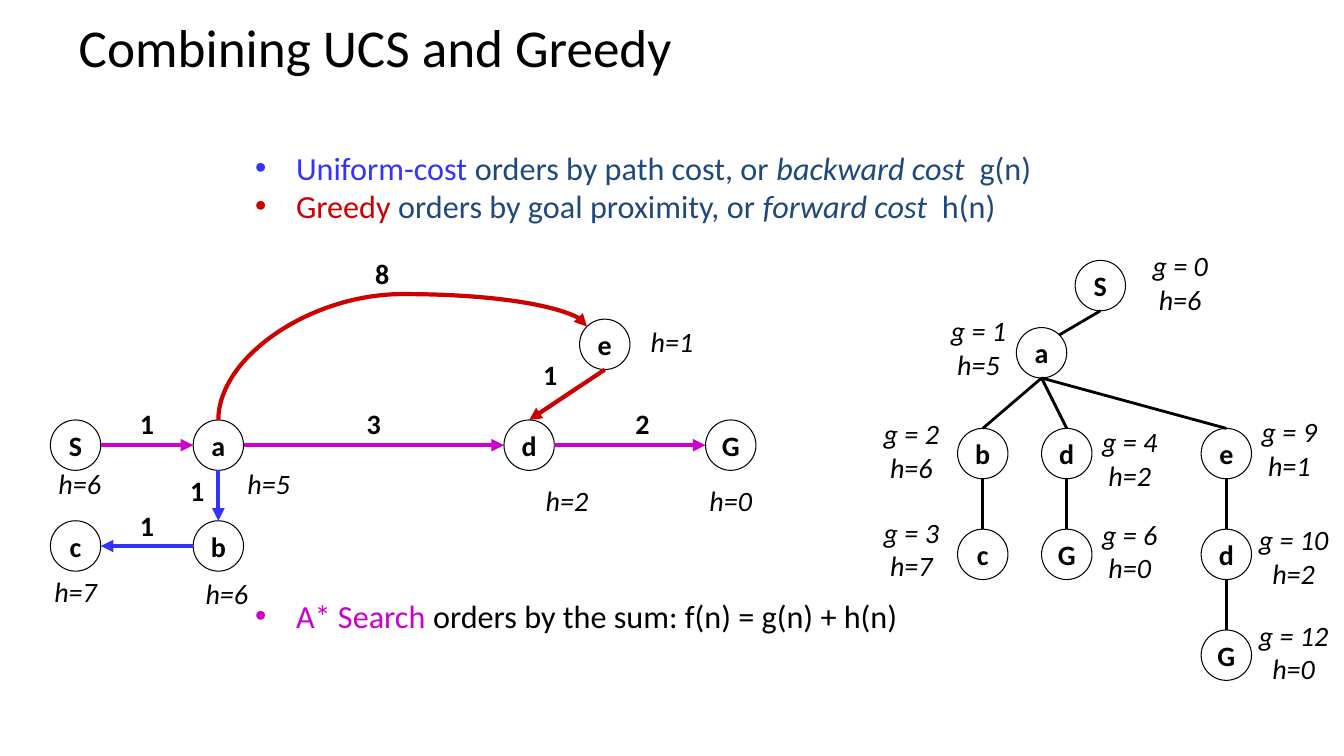
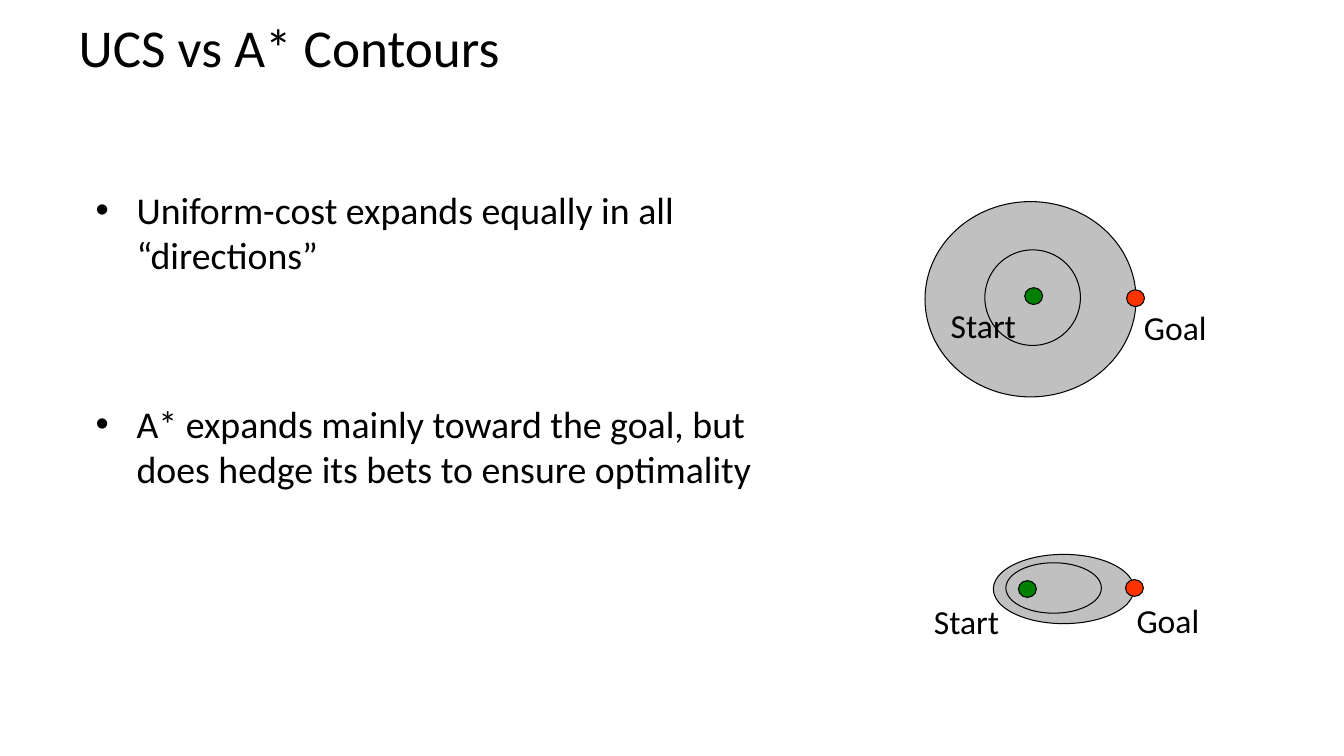
from math import cos, pi, sin

from lxml.etree import SubElement
from pptx import Presentation
from pptx.dml.color import RGBColor
from pptx.enum.shapes import MSO_CONNECTOR, MSO_SHAPE
from pptx.enum.text import MSO_ANCHOR, PP_ALIGN
from pptx.oxml.ns import qn
from pptx.util import Emu, Pt

FONT = "Calibri"
COLORS = {
    "black": "000000", "white": "FFFFFF", "navy": "1F497D", "blue": "3333FF",
    "red": "CC0000", "purple": "CC00CC", "gray": "C0C0C0", "start": "008000",
    "goal": "FF3300",
}
NODE = 48
# Connection sites of an ellipse, counter-clockwise in steps of 45 degrees
TOP, TOP_LEFT, LEFT, BOTTOM, RIGHT, TOP_RIGHT = 0, 1, 2, 4, 6, 7


def px(n):
    return Emu(round(n * 9525))


def rgb(name):
    return RGBColor.from_string(COLORS[name])


def add_run(p, text, color="black", **fmt):
    r = p.add_run()
    r.text = text
    r.font.color.rgb = rgb(color)
    for key, value in {"name": FONT, **fmt}.items():
        setattr(r.font, key, value)


def add_box(slide, x, y, w, h, **fmt):
    tf = slide.shapes.add_textbox(px(x), px(y), px(w), px(h)).text_frame
    for key, value in {"word_wrap": True, **fmt}.items():
        setattr(tf, key, value)
    return tf


def add_label(slide, x, y, w, h, text, align=PP_ALIGN.CENTER, **fmt):
    p = add_box(slide, x, y, w, h).paragraphs[0]
    p.alignment = align
    add_run(p, text, **fmt)


def add_title(slide, text):
    tf = add_box(slide, 64, 2, 1152, 84, vertical_anchor=MSO_ANCHOR.MIDDLE,
                 margin_left=px(11), margin_right=px(11))
    add_run(tf.paragraphs[0], text, size=Pt(38))


def add_bullets(slide, box, size, items, line_spacing=1.0):
    """Each item is its space before in points and a list of (text, format)."""
    tf = add_box(slide, *box, margin_left=px(11), margin_right=px(11))
    for i, (gap, runs) in enumerate(items):
        p = tf.add_paragraph() if i else tf.paragraphs[0]
        pPr = p._p.get_or_add_pPr()
        pPr.set("marL", str(px(39)))
        pPr.set("indent", str(px(-39)))
        SubElement(pPr, qn("a:buFont"), typeface="Arial")
        SubElement(pPr, qn("a:buChar"), char="•")
        p.line_spacing = line_spacing
        p.space_before = Pt(gap)
        for text, fmt in runs:
            add_run(p, text, size=Pt(size), **fmt)


def add_ellipse(slide, x, y, w, h, fill=None):
    sp = slide.shapes.add_shape(MSO_SHAPE.OVAL, px(x), px(y), px(w), px(h))
    sp.shadow.inherit = False
    if fill:
        sp.fill.solid()
        sp.fill.fore_color.rgb = rgb(fill)
    else:
        sp.fill.background()
    sp.line.color.rgb = rgb("black")
    sp.line.width = Pt(0.75)
    return sp


def add_node(slide, x, y, name):
    sp = add_ellipse(slide, x, y, NODE, NODE, "white")
    tf = sp.text_frame
    tf.word_wrap = False
    tf.vertical_anchor = MSO_ANCHOR.MIDDLE
    p = tf.paragraphs[0]
    p.alignment = PP_ALIGN.CENTER
    add_run(p, name, size=Pt(20), bold=True)
    return sp


def site_point(sp, site):
    angle = site * pi / 4
    return (Emu(round(sp.left + sp.width / 2 * (1 - sin(angle)))),
            Emu(round(sp.top + sp.height / 2 * (1 - cos(angle)))))


def style_line(c, color, width, arrow):
    c.line.color.rgb = rgb(color)
    c.line.width = Pt(width)
    if arrow:
        SubElement(c.line._get_or_add_ln(), qn("a:tailEnd"), type="triangle")
    SubElement(c._element.spPr, qn("a:effectLst"))


def add_edge(slide, a, a_site, b, b_site, color="black", width=2, arrow=False):
    """Straight line glued to a connection site of each node."""
    c = slide.shapes.add_connector(MSO_CONNECTOR.STRAIGHT, 0, 0, 0, 0)
    c.begin_connect(a, 0)
    c.end_connect(b, 0)
    c.begin_x, c.begin_y = site_point(a, a_site)
    c.end_x, c.end_y = site_point(b, b_site)
    joins = c._element.nvCxnSpPr.cNvCxnSpPr
    joins.stCxn.set("idx", str(a_site))
    joins.endCxn.set("idx", str(b_site))
    style_line(c, color, width, arrow)


def add_arc(slide, a, b, color):
    """Curved arrow from the top of a, up and over to the top left of b."""
    (x1, y1), (x2, y2) = site_point(a, TOP), site_point(b, TOP_LEFT)
    mid_x, mid_y = (x1 + x2) // 2, (y1 + y2) // 2
    w, h = y1 - y2, x2 - x1
    left, top = mid_x - w // 2, mid_y - h // 2
    c = slide.shapes.add_connector(MSO_CONNECTOR.CURVE, Emu(left), Emu(top),
                                   Emu(left + w), Emu(top + h))
    spPr = c._element.spPr
    spPr.find(qn("a:xfrm")).set("rot", str(270 * 60000))
    avLst = spPr.find(qn("a:prstGeom")).get_or_add_avLst()
    SubElement(avLst, qn("a:gd"), name="adj1", fmla="val 134800")
    style_line(c, color, 3, True)


def add_state_graph(slide, left, top):
    # name: node x, y, heuristic, label x, y, width
    states = {
        "S": (16, 160, 6, 0, 200, 88), "a": (152, 160, 5, 176, 200, 96),
        "d": (448, 160, 2, 472, 216, 72), "G": (640, 160, 0, 616, 216, 96),
        "e": (520, 64, 1, 568, 64, 80), "c": (16, 256, 7, 0, 302, 80),
        "b": (152, 256, 6, 144, 304, 80),
    }
    nodes = {}
    for name, (x, y, h, label_x, label_y, w) in states.items():
        nodes[name] = add_node(slide, left + x, top + y, name)
        add_label(slide, left + label_x, top + label_y, w, 41, f"h={h}",
                  size=Pt(20), italic=True)
    for cost, x, y in (("1", 80, 142), ("8", 304, 0), ("1", 80, 240),
                       ("1", 128, 206), ("2", 552, 142), ("3", 296, 142),
                       ("1", 464, 96)):
        add_label(slide, left + x, top + y, 56, 41, cost, size=Pt(20), bold=True)
    for a, a_site, b, b_site, color in (
            ("a", BOTTOM, "b", TOP, "blue"), ("b", LEFT, "c", RIGHT, "blue"),
            ("e", BOTTOM, "d", TOP, "red"), ("S", RIGHT, "a", LEFT, "purple"),
            ("a", RIGHT, "d", LEFT, "purple"), ("d", RIGHT, "G", LEFT, "purple")):
        add_edge(slide, nodes[a], a_site, nodes[b], b_site, color, 3, True)
    add_arc(slide, nodes["a"], nodes["e"], "red")


def add_search_tree(slide, left, top):
    # route from the root: node x, y, costs, label x, y, width
    routes = {
        "S": (200, 16, "g = 0 h=6", 256, 0, 88),
        "Sa": (144, 80, "g = 1 h=5", 64, 62, 88),
        "Sab": (88, 176, "g = 2 h=6", 0, 160, 88),
        "Sabc": (88, 272, "g = 3 h=7", 0, 254, 88),
        "Sad": (168, 176, "g = 4 h=2", 208, 168, 88),
        "SadG": (168, 272, "g = 6 h=0", 208, 256, 88),
        "Sae": (320, 176, "g = 9 h=1", 360, 158, 88),
        "Saed": (320, 272, "g = 10 h=2", 360, 261, 96),
        "SaedG": (320, 368, "g = 12 h=0", 360, 352, 96),
    }
    nodes = {}
    for route, (x, y, costs, label_x, label_y, w) in routes.items():
        nodes[route] = add_node(slide, left + x, top + y, route[-1])
        add_label(slide, left + label_x, top + label_y, w, 74, costs,
                  size=Pt(20), italic=True)
        parent = nodes.get(route[:-1])
        if parent:
            add_edge(slide, parent, BOTTOM, nodes[route],
                     TOP_RIGHT if route == "Sa" else TOP)


def add_contours(slide, box, inner, marks):
    """Shaded outer contour at box; inner ring and marks are offsets from it."""
    left, top, w, h = box
    add_ellipse(slide, left, top, w, h, "gray")
    for name, (x, y, label_x, label_y) in marks.items():
        add_ellipse(slide, left + x, top + y, 17, 16, name.lower())
        add_label(slide, left + label_x, top + label_y, 96, 48, name,
                  PP_ALIGN.LEFT, size=Pt(24))
    x, y, w, h = inner
    add_ellipse(slide, left + x, top + y, w, h)


def build_combining(slide):
    add_title(slide, "Combining UCS and Greedy")
    navy, navy_italic = {"color": "navy"}, {"color": "navy", "italic": True}
    add_bullets(slide, (232, 144, 864, 528), 23, [
        (0, [("Uniform-cost ", {"color": "blue"}),
             ("orders by path cost, or ", navy),
             ("backward cost  ", navy_italic), ("g(n)", navy)]),
        (4.6, [("Greedy ", {"color": "red"}),
               ("orders by goal proximity, or ", navy),
               ("forward cost  ", navy_italic), ("h(n)", navy)]),
        (271, [("A* Search", {"color": "purple"}),
               (" orders by the sum: f(n) = g(n) + h(n)", {})]),
    ], line_spacing=0.8)
    add_state_graph(slide, 32, 240)
    add_search_tree(slide, 824, 232)


def build_contours(slide):
    add_title(slide, "UCS vs A* Contours")
    add_bullets(slide, (80, 173, 704, 475), 27, [
        (0, [("Uniform-cost expands equally in all “directions”", {})]),
        (88, [("A* expands mainly toward the goal, but does hedge its bets "
               "to ensure optimality", {})]),
    ])
    add_contours(slide, (881, 192, 201, 186), (57, 46, 91, 91),
                 {"Start": (95, 82, 15, 94), "Goal": (192, 84, 199, 96)})
    add_contours(slide, (946, 528, 134, 66), (12, 8, 91, 48),
                 {"Start": (24, 25, -66, 40), "Goal": (126, 24, 127, 39)})


def main():
    prs = Presentation()
    prs.slide_width, prs.slide_height = px(1280), px(720)
    for build in (build_combining, build_contours):
        build(prs.slides.add_slide(prs.slide_layouts[6]))
    prs.save("out.pptx")


if __name__ == "__main__":
    main()
